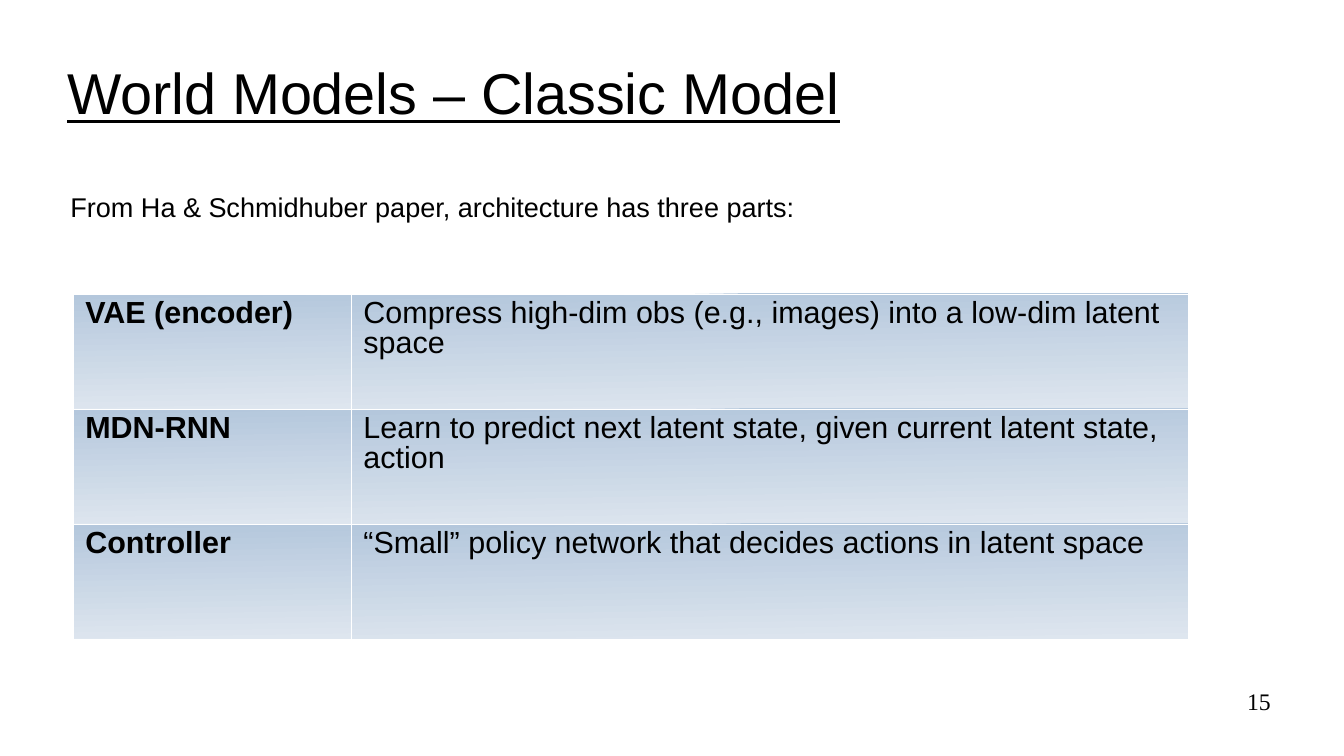
import pptx
import pptx.util
import pptx.dml.color
import pptx.enum.text
import pptx.oxml.ns
import lxml.etree

Inches = pptx.util.Inches
Pt = pptx.util.Pt
ALIGN = pptx.enum.text.PP_ALIGN
ANCHOR = pptx.enum.text.MSO_ANCHOR

COLORS = {
    "text": "000000",
    "border": "FFFFFF",
    "cell_top": "B4C7DC",
    "cell_bottom": "DEE6EF",
}
PARTS = [
    ("VAE (encoder)", "Compress high-dim obs (e.g., images) into a low-dim latent space"),
    ("MDN-RNN", "Learn to predict next latent state, given current latent state, action"),
    ("Controller", "“Small” policy network that decides actions in latent space"),
]


def rgb(name):
    return pptx.dml.color.RGBColor.from_string(COLORS[name])


def write(p, text, size, font="Arial", spacing=0.93, after=3.7):
    p.line_spacing = spacing
    p.space_before = Pt(0)
    p.space_after = Pt(after)
    r = p.add_run()
    r.text = text
    r.font.size = Pt(size)
    r.font.name = font
    r.font.color.rgb = rgb("text")
    return r


def add_text(s, box, text, size, margins=(0, 0, 0, 0), anchor=ANCHOR.TOP,
             align=ALIGN.LEFT, font="Arial"):
    tf = s.shapes.add_textbox(*map(Inches, box)).text_frame
    tf.word_wrap = True
    tf.vertical_anchor = anchor
    tf.margin_left, tf.margin_top, tf.margin_right, tf.margin_bottom = map(Inches, margins)
    p = tf.paragraphs[0]
    p.alignment = align
    return write(p, text, size, font)


def add_title(s, box):
    r = add_text(s, box, "World Models – Classic Model", 34, (0, 0.04, 0, 0), ANCHOR.MIDDLE)
    r.font.underline = True


def add_intro(s, box):
    add_text(s, box, "From Ha & Schmidhuber paper, architecture has three parts:", 16,
             (0.1, 0.05, 0.1, 0.05))


def style_cell(cell):
    qn = pptx.oxml.ns.qn
    tcPr = cell._tc.get_or_add_tcPr()
    for side in ("lnL", "lnR", "lnT", "lnB"):
        ln = lxml.etree.SubElement(tcPr, qn("a:" + side), w=str(Pt(0.06)))
        fill = lxml.etree.SubElement(ln, qn("a:solidFill"))
        lxml.etree.SubElement(fill, qn("a:srgbClr"), val=COLORS["border"])
    cell.fill.gradient()
    cell.fill.gradient_angle = 271
    for stop, name in zip(cell.fill.gradient_stops, ("cell_top", "cell_bottom")):
        stop.color.rgb = rgb(name)
    cell.margin_left = cell.margin_right = Inches(0.1)
    cell.margin_top = cell.margin_bottom = Inches(0.05)


def add_parts_table(s, box):
    table = s.shapes.add_table(len(PARTS), 2, *map(Inches, box)).table
    table.first_row = False
    table.horz_banding = False
    label_width = 2.28
    table.columns[0].width = Inches(label_width)
    table.columns[1].width = Inches(box[2] - label_width)
    for i, part in enumerate(PARTS):
        for j, text in enumerate(part):
            cell = table.cell(i, j)
            style_cell(cell)
            r = write(cell.text_frame.paragraphs[0], text, 18, spacing=0.87, after=0.3)
            r.font.bold = j == 0


def add_page_number(s, box):
    add_text(s, box, "15", 14, align=ALIGN.RIGHT, font="Times New Roman")


def main():
    prs = pptx.Presentation()
    prs.slide_width = Inches(11.02)
    prs.slide_height = Inches(6.2)
    s = prs.slides.add_slide(prs.slide_layouts[6])
    add_title(s, (0.55, 0.25, 9.92, 1.03))
    add_intro(s, (0.48, 1.54, 10.1, 0.7))
    add_parts_table(s, (0.6, 2.41, 9.14, 2.83))
    add_page_number(s, (7.9, 5.65, 2.52, 0.38))
    prs.save("out.pptx")


if __name__ == "__main__":
    main()
